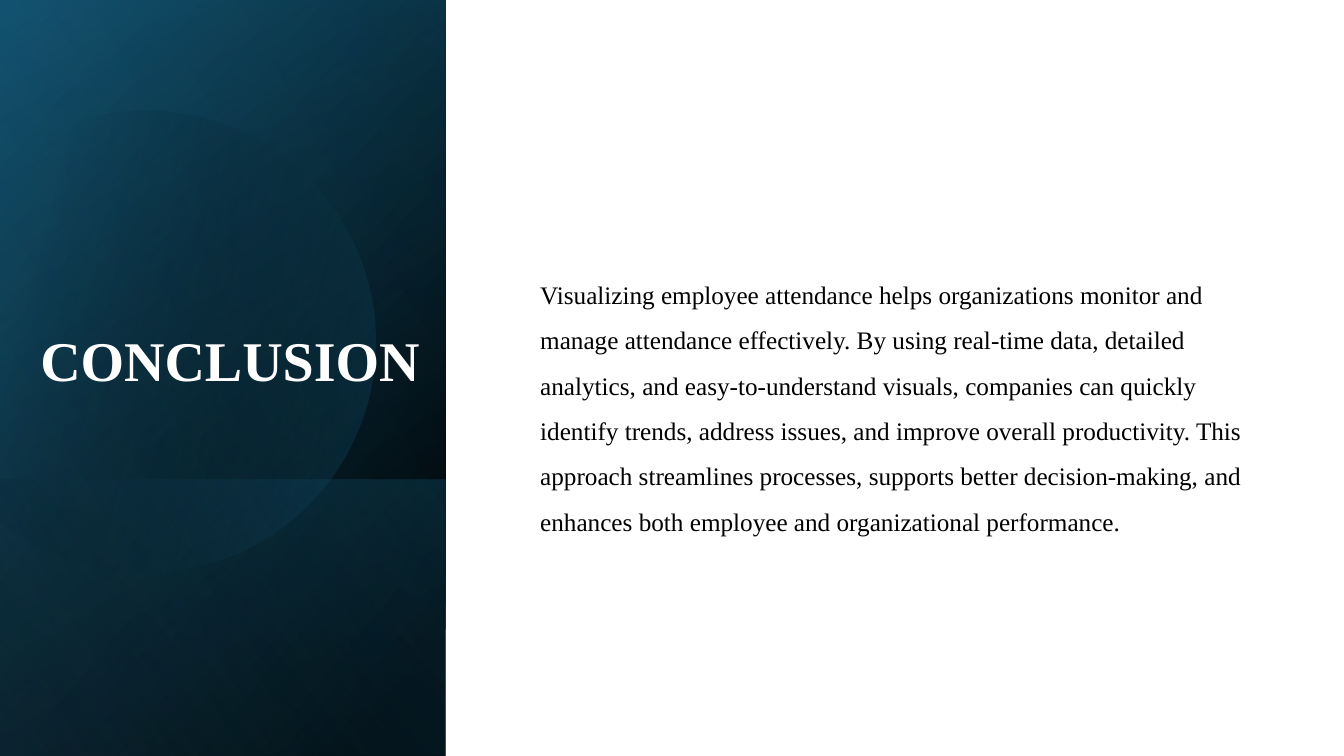
from dataclasses import dataclass
from itertools import pairwise
from math import cos, radians, sin, tan

from pptx import Presentation
from pptx.dml.color import RGBColor as RGB
from pptx.enum.shapes import MSO_SHAPE as SHAPE
from pptx.enum.text import MSO_ANCHOR as ANCHOR, PP_ALIGN as ALIGN
from pptx.oxml import parse_xml
from pptx.oxml.ns import nsdecls, qn
from pptx.util import Inches, Pt


@dataclass(frozen=True)
class Theme:
    font: str = "Times New Roman"
    title_size: int = 40
    body_size: int = 18
    white: str = "FFFFFF"
    black: str = "000000"
    navy: str = "104862"
    teal: str = "156082"
    sky: str = "46B1E1"


class Deck:
    def __init__(self, prs, theme):
        self.theme = theme
        self.slide = prs.slides.add_slide(prs.slide_layouts[6])
        self.shapes = self.slide.shapes

    def plain(self, s):
        s.shadow.inherit = False
        s.line.fill.background()
        return s

    def gradient(self, s, stops, angle):
        s.fill.background()
        gs = "".join(
            f'<a:gs pos="{pos * 1000}"><a:srgbClr val="{color}">'
            f'<a:alpha val="{opacity * 1000}"/></a:srgbClr></a:gs>'
            for pos, color, opacity in stops
        )
        fill = parse_xml(
            f'<a:gradFill {nsdecls("a")} rotWithShape="1"><a:gsLst>{gs}</a:gsLst>'
            f'<a:lin ang="{angle * 60000}" scaled="0"/></a:gradFill>'
        )
        pr = s._element.spPr
        pr.replace(pr.find(qn("a:noFill")), fill)

    def rect(self, box, color):
        s = self.plain(self.shapes.add_shape(SHAPE.RECTANGLE, *map(Inches, box)))
        s.fill.solid()
        s.fill.fore_color.rgb = RGB.from_string(color)

    def panel(self, box, stops, angle):
        s = self.plain(self.shapes.add_shape(SHAPE.RECTANGLE, *map(Inches, box)))
        s.rotation = 90
        s._element.spPr.find(qn("a:xfrm")).set("flipH", "1")
        self.gradient(s, stops, angle)

    def cut_disc(self, center, radius, angles, rotation, stops, angle):
        cx, cy = center

        def on_circle(a, pull=0):
            x, y = cos(radians(a)), sin(radians(a))
            return (Inches(cx + radius * (x - pull * y)),
                    Inches(cy + radius * (y + pull * x)))

        points = [on_circle(a) for a in angles]
        builder = self.shapes.build_freeform(*points[0])
        builder.add_line_segments(points[1:], close=True)
        s = self.plain(builder.convert_to_shape())
        lines = list(s._element.iter(qn("a:lnTo")))
        for line, (a, b) in zip(lines, pairwise(angles)):
            pull = 4 / 3 * tan(radians(b - a) / 4)
            pts = "".join(
                f'<a:pt x="{x - s.left}" y="{y - s.top}"/>'
                for x, y in (on_circle(a, pull), on_circle(b, -pull), on_circle(b))
            )
            curve = parse_xml(f'<a:cubicBezTo {nsdecls("a")}>{pts}</a:cubicBezTo>')
            line.getparent().replace(line, curve)
        s.rotation = rotation
        self.gradient(s, stops, angle)

    def text(self, box, text, frame, para, font, color):
        tf = self.shapes.add_textbox(*map(Inches, box)).text_frame
        p = tf.paragraphs[0]
        r = p.add_run()
        r.text = text
        r.font.color.rgb = RGB.from_string(color)
        formats = (
            (tf, {"word_wrap": True, **frame}),
            (p, para),
            (r.font, {"name": self.theme.font, **font}),
        )
        for target, values in formats:
            for name, value in values.items():
                setattr(target, name, value)


def main():
    prs = Presentation()
    prs.slide_width, prs.slide_height = Inches(13.33), Inches(7.5)
    t = Theme()
    deck = Deck(prs, t)

    deck.rect((0, 0, 13.33, 7.5), t.white)
    side = (-1.54, 1.54, 7.5, 4.42)
    deck.panel(side, [(8, t.black, 100), (100, t.navy, 100)], 50)
    deck.panel(side, [(0, t.black, 0), (99, t.teal, 46)], 30)
    deck.panel((0.84, 3.92, 2.74, 4.42), [(2, t.teal, 29), (100, t.black, 30)], 130)
    deck.cut_disc((1.43, 3.35), 2.29, (-118, -90, 0, 90, 150), 343.9,
                  [(29, t.black, 0), (100, t.teal, 43)], 30)
    deck.panel(side, [(0, t.black, 0), (99, t.sky, 11)], 120)

    deck.text(
        (-0.11, 0.25, 4.37, 3.7),
        "CONCLUSION",
        {"vertical_anchor": ANCHOR.BOTTOM},
        {"alignment": ALIGN.RIGHT, "line_spacing": 0.9},
        {"size": Pt(t.title_size), "bold": True},
        t.white,
    )
    deck.text(
        (5.26, 0.71, 7.17, 6.07),
        "Visualizing employee attendance helps organizations monitor and manage "
        "attendance effectively. By using real-time data, detailed analytics, and "
        "easy-to-understand visuals, companies can quickly identify trends, address "
        "issues, and improve overall productivity. This approach streamlines processes, "
        "supports better decision-making, and enhances both employee and "
        "organizational performance.",
        {"vertical_anchor": ANCHOR.MIDDLE, "margin_top": Inches(0.5)},
        {"line_spacing": 1.5, "space_before": Pt(10)},
        {"size": Pt(t.body_size)},
        t.black,
    )
    prs.save("out.pptx")


if __name__ == "__main__":
    main()
